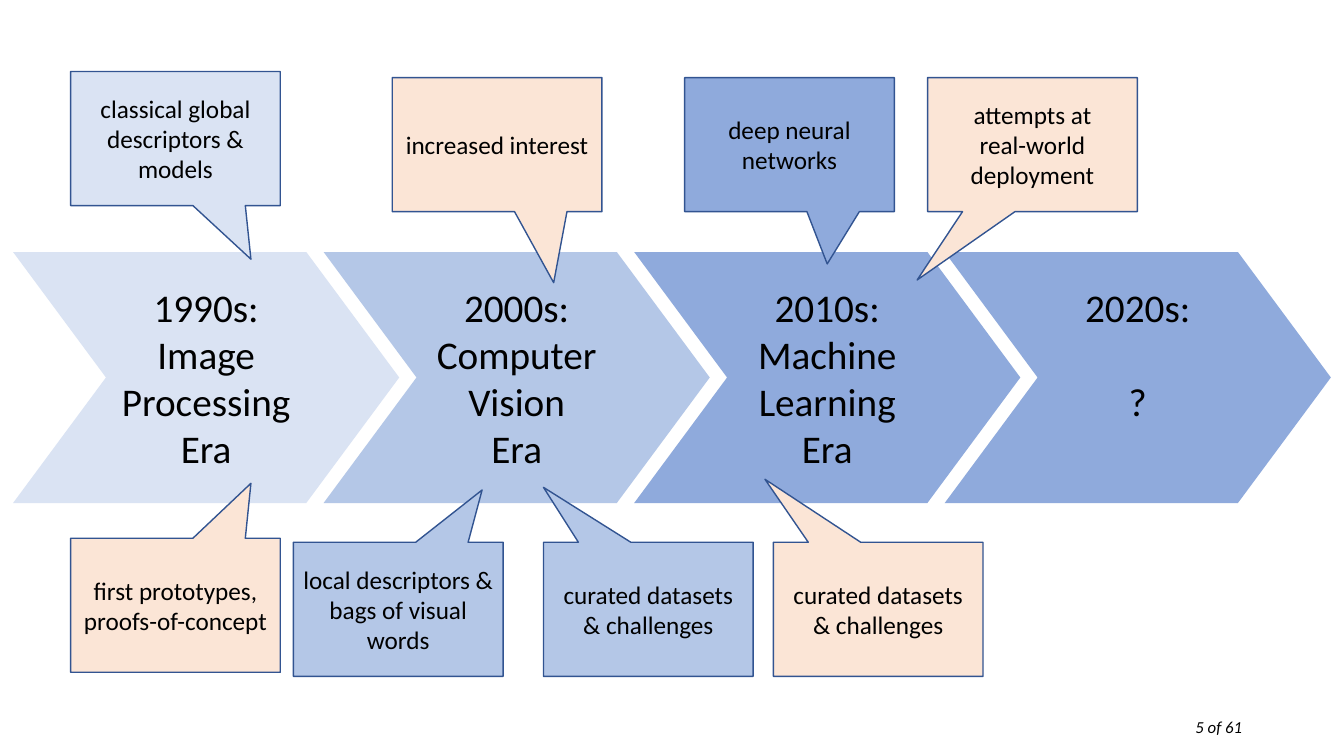
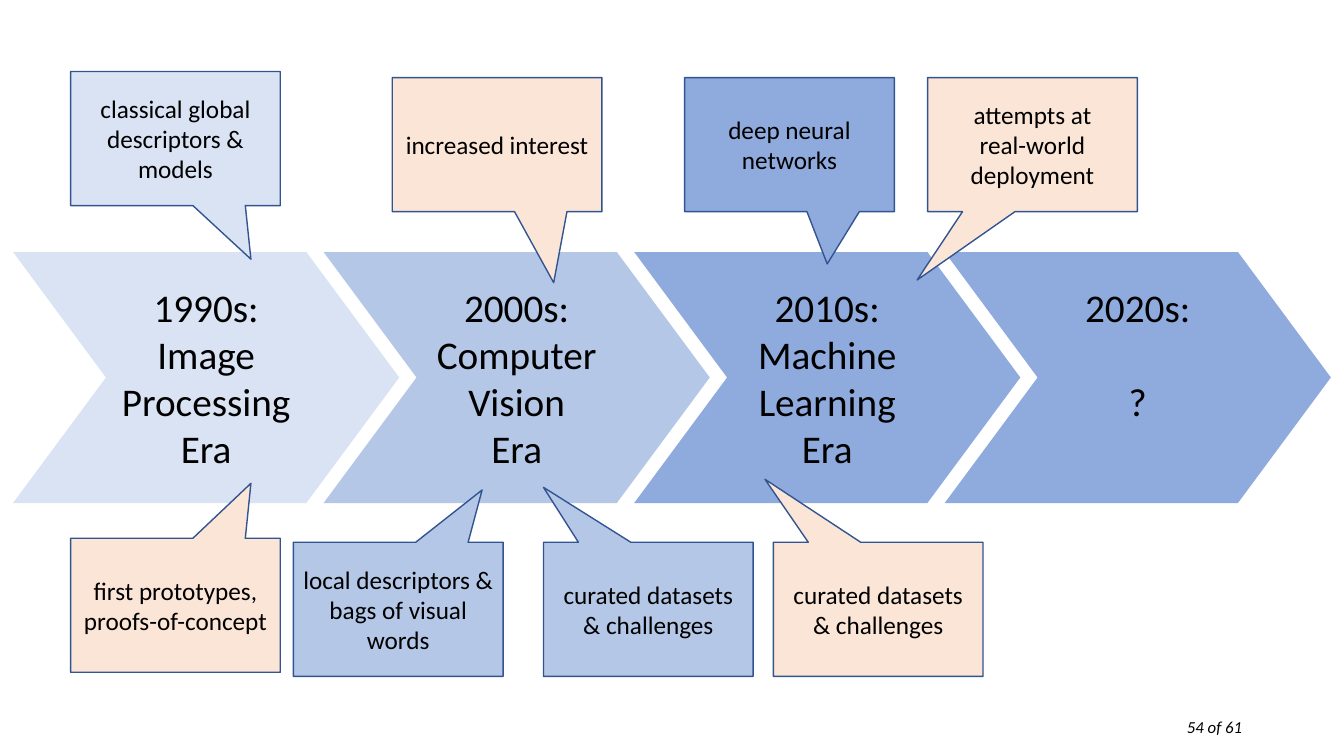
"""Builds the two timeline slides on the eras of the field."""
from dataclasses import dataclass

from pptx import Presentation
from pptx.dml.color import RGBColor
from pptx.enum.shapes import MSO_SHAPE
from pptx.enum.text import MSO_ANCHOR, PP_ALIGN
from pptx.util import Inches, Pt

CHEVRON = MSO_SHAPE.CHEVRON
CALLOUT = MSO_SHAPE.RECTANGULAR_CALLOUT
MIDDLE = MSO_ANCHOR.MIDDLE
CENTER, RIGHT = PP_ALIGN.CENTER, PP_ALIGN.RIGHT


@dataclass(frozen=True)
class Theme:
    """Colours, font and type sizes of the deck."""
    pale: str = "DAE3F3"
    light: str = "B4C7E7"
    medium: str = "8FAADC"
    peach: str = "FBE5D6"
    outline: str = "325491"
    text: str = "000000"
    font: str = "Calibri"
    era_size: int = 28
    note_size: int = 18
    page_size: int = 12


THEME = Theme()
PAGE_COUNT = 61
PAGES = (5, 54)
ERA_LEFT, ERA_STEP = 0.13, 3.08
EMPTY_LINE = 34
TOP_ROW, BOTTOM_ROW = 0.77, 5.38

ERAS = [
    (THEME.pale, ["1990s:", "Image Processing Era"], 0),
    (THEME.light, ["2000s:", "Computer Vision\nEra"], 0),
    (THEME.medium, ["2010s:", "Machine Learning Era"], 0),
    (THEME.medium, ["2020s:", "?"], EMPTY_LINE),
]

NOTES = [
    (0.7, 0.71, THEME.pale, (0.36, 0.9), ["classical global descriptors & models"]),
    (2.91, BOTTOM_ROW, THEME.light, (0.4, -0.89), ["local descriptors & bags of visual words"]),
    (6.79, TOP_ROW, THEME.medium, (0.18, 0.89), ["deep neural networks"]),
    (5.39, BOTTOM_ROW, THEME.light, (-0.5, -0.91), ["curated datasets & challenges"]),
    (0.7, 5.34, THEME.peach, (0.36, -0.91), ["first prototypes,", "proofs-of-concept"]),
    (3.89, TOP_ROW, THEME.peach, (0.27, 1.03), ["increased interest"]),
    (7.67, BOTTOM_ROW, THEME.peach, (-0.54, -0.97), ["curated datasets & challenges"]),
    (9.2, TOP_ROW, THEME.peach, (-0.55, 1.01), ["attempts at", "real-world", "deployment"]),
]


class TimelineDeck:
    """Holds the theme, the presentation and the current slide."""

    def __init__(self, theme):
        """Start an empty widescreen presentation."""
        self.theme = theme
        self.deck = Presentation()
        self.deck.slide_width = Inches(13.33)
        self.deck.slide_height = Inches(7.5)
        self.slide = None

    def new_slide(self, number):
        """Add a blank slide with its page number."""
        self.slide = self.deck.slides.add_slide(self.deck.slide_layouts[6])
        box = self.slide.shapes.add_textbox(Inches(9.42), Inches(7.06), Inches(3), Inches(0.3))
        self.add_text(box, [f"{number} of {PAGE_COUNT}"], self.theme.page_size, RIGHT, italic=True)

    def add_text(self, box, lines, size, align, italic=False, gap=0):
        """Fill a shape with paragraphs, set apart by gap points."""
        frame = box.text_frame
        frame.word_wrap = True
        for index, line in enumerate(lines):
            para = frame.add_paragraph() if index else frame.paragraphs[0]
            para.alignment = align
            if index and gap:
                para.space_before = Pt(gap)
            for part_index, part in enumerate(line.split("\n")):
                if part_index:
                    para.add_line_break()
                span = para.add_run()
                span.text = part
                span.font.name = self.theme.font
                span.font.size = Pt(size)
                span.font.italic = italic
                span.font.color.rgb = RGBColor.from_string(self.theme.text)

    def add_shape(self, kind, left, top, width, height, fill):
        """Add a filled shape without shadow, its text centred vertically."""
        shape = self.slide.shapes.add_shape(
            kind, Inches(left), Inches(top), Inches(width), Inches(height))
        shape.shadow.inherit = False
        shape.fill.solid()
        shape.fill.fore_color.rgb = RGBColor.from_string(fill)
        shape.text_frame.vertical_anchor = MIDDLE
        return shape

    def era(self, position, fill, lines, gap):
        """Add the chevron of one decade."""
        shape = self.add_shape(CHEVRON, ERA_LEFT + position * ERA_STEP, 2.5, 3.83, 2.49, fill)
        shape.adjustments[0] = 0.37
        shape.line.fill.background()
        shape.text_frame.margin_bottom = Inches(0.05) + Pt(gap)
        self.add_text(shape, lines, self.theme.era_size, CENTER, gap=gap)

    def note(self, left, top, fill, tip, lines):
        """Add a callout whose tip is relative to its centre."""
        shape = self.add_shape(CALLOUT, left, top, 2.08, 1.33, fill)
        shape.adjustments[0], shape.adjustments[1] = tip
        shape.line.color.rgb = RGBColor.from_string(self.theme.outline)
        shape.line.width = Pt(1)
        self.add_text(shape, lines, self.theme.note_size, CENTER)


def main():
    """Draw the timeline on each page and save the deck."""
    timeline = TimelineDeck(THEME)
    for number in PAGES:
        timeline.new_slide(number)
        for position, era in enumerate(ERAS):
            timeline.era(position, *era)
        for note in NOTES:
            timeline.note(*note)
    timeline.deck.save("out.pptx")


if __name__ == "__main__":
    main()
